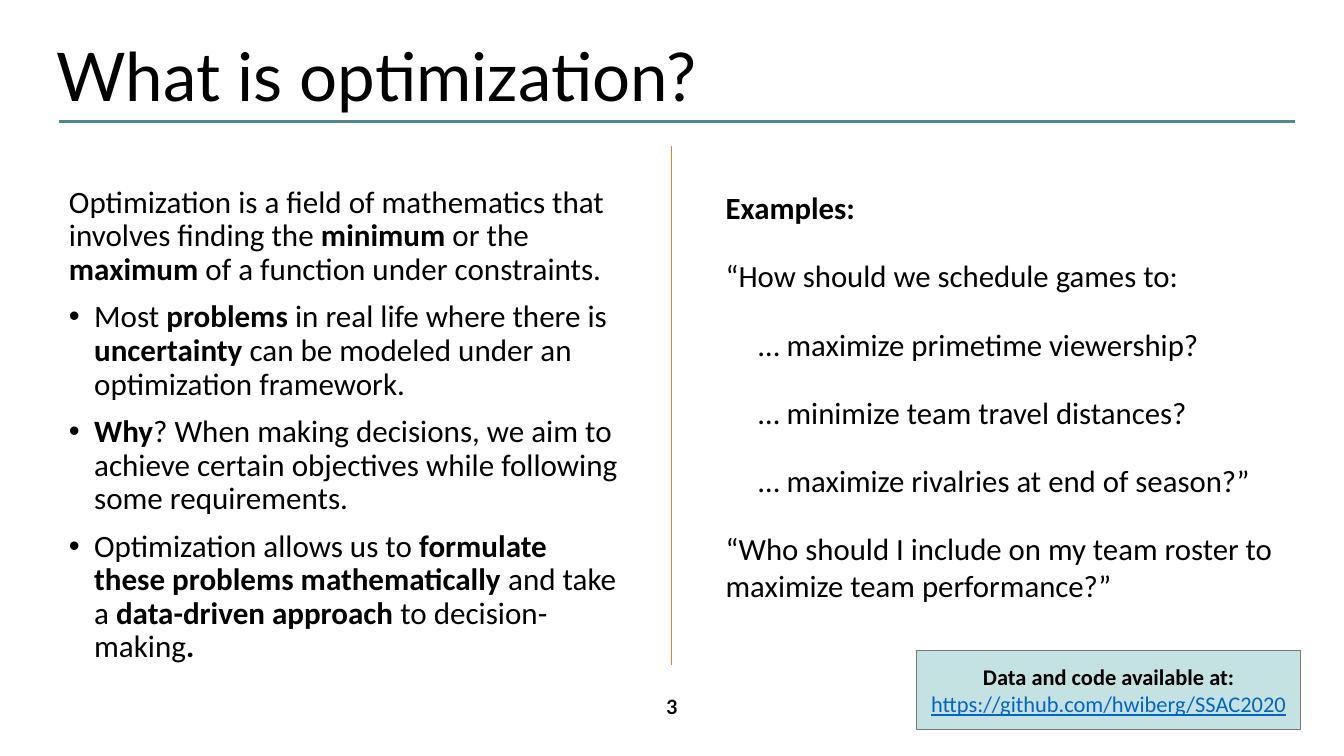
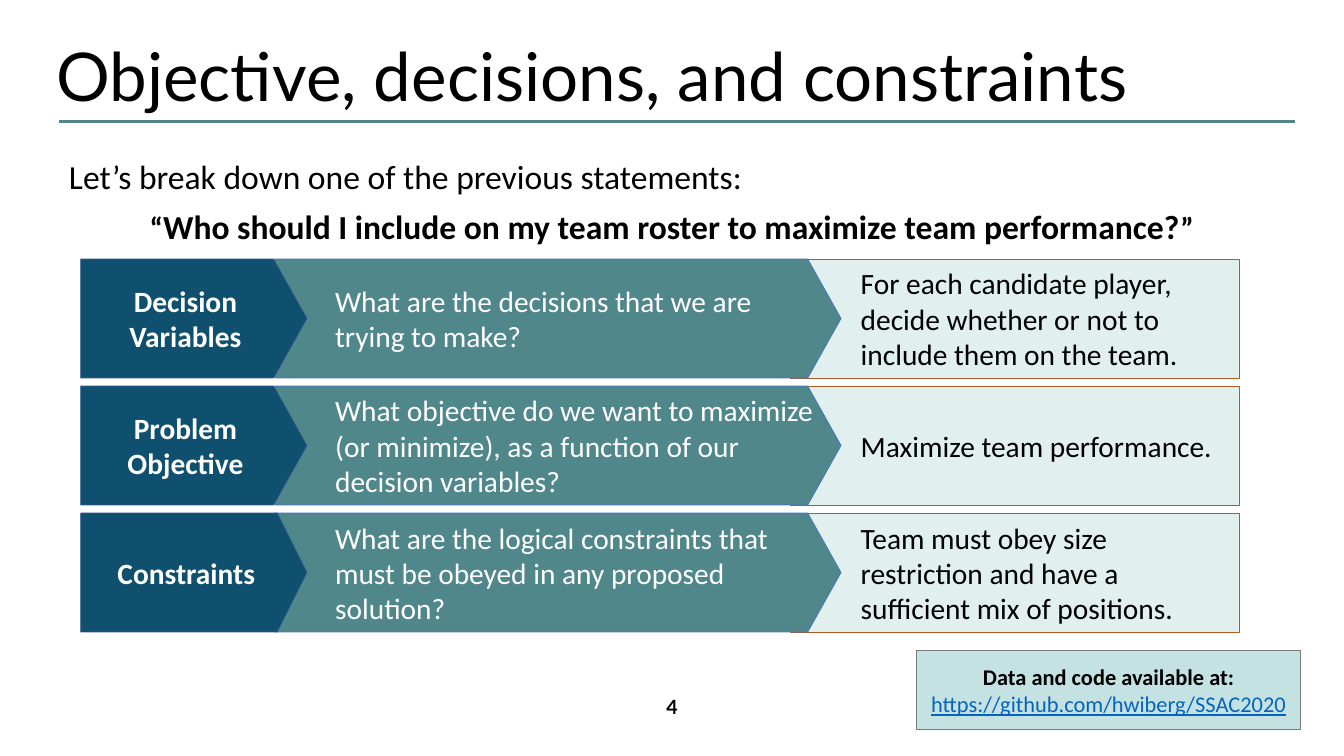
"""Build two slides that introduce optimization and its ingredients."""
from dataclasses import dataclass
from typing import NamedTuple, Optional

from lxml import etree
from pptx import Presentation
from pptx import util as u
from pptx.dml.color import RGBColor
from pptx.enum import shapes, text
from pptx.oxml import ns


@dataclass(frozen=True)
class Theme:
    """Colours, fonts and type sizes of the deck."""
    black: str = "000000"
    white: str = "FFFFFF"
    teal: str = "50878B"
    navy: str = "0F506E"
    mint: str = "C4E2E1"
    grey: str = "7A7A7A"
    orange: str = "ED7D31"
    rust: str = "AF5C24"
    blue: str = "4472C4"
    navy_line: str = "325491"
    link: str = "0563C1"
    heading_font: str = "Lato"
    body_font: str = "Calibri"
    title_size: float = 96
    intro_size: float = 48
    definition_size: float = 44.4
    example_size: float = 44
    row_size: float = 42
    note_size: float = 32
    number_size: float = 28


THEME = Theme()


class Box(NamedTuple):
    """Position and size in inches."""
    left: float
    top: float
    width: float
    height: float


class Insets(NamedTuple):
    """Text margins in inches."""
    left: float = 0.1
    top: float = 0.05
    right: float = 0.1
    bottom: float = 0.05


class Span(NamedTuple):
    """A run of text and its formatting."""
    words: str
    bold: bool = False
    color: str = THEME.black
    size: Optional[float] = None
    underline: bool = False


@dataclass(frozen=True)
class Block:
    """A paragraph made of spans."""
    spans: tuple[Span, ...]
    centered: bool = False
    bullet: bool = False
    margin: float = 0
    level: int = 0


@dataclass(frozen=True)
class Spacing:
    """Paragraph spacing in points and line spacing as a factor."""
    before: float = 0
    after: float = 0
    line: float = 1


@dataclass(frozen=True)
class Style:
    """Fill, outline and text margins of a filled shape."""
    fill: str
    line: str
    insets: Insets = Insets()
    opacity: int = 100


class Ingredient(NamedTuple):
    """One row of the breakdown."""
    label: str
    question: str
    answer: str
    label_point: float


NUMBER_BOX = Box(12.93, 13.71, 0.81, 0.62)
TITLE_BOX = Box(0.22, 0.29, 25.47, 2.37)
NOTE_BOX = Box(18.19, 12.91, 7.62, 1.56)
NOTE = (
    Block((Span("Data and code available at:", True),), centered=True),
    Block((Span("https://github.com/hwiberg/SSAC2020", color=THEME.link, underline=True),),
          centered=True),
)
DEFINITION = (
    Block((Span("Optimization is a field of mathematics that involves finding the "),
           Span("minimum", True), Span(" or the "), Span("maximum", True),
           Span(" of a function under constraints."))),
    Block((Span("Most "), Span("problems", True), Span(" in real life where there is "),
           Span("uncertainty", True),
           Span(" can be modeled under an optimization framework.")), bullet=True),
    Block((Span("Why", True),
           Span("? When making decisions, we aim to achieve certain objectives "
                "while following some requirements.")), bullet=True),
    Block((Span("Optimization allows us to "),
           Span("formulate these problems mathematically ", True), Span("and take a "),
           Span("data-driven approach ", True), Span("to decision-making"),
           Span(".", True)), bullet=True),
)
EXAMPLES = (
    Block((Span("Examples:", True),)),
    Block((Span("“How should we schedule games to:"),)),
    *(Block((Span(goal),), margin=0.65, level=1) for goal in (
        "… maximize primetime viewership?",
        "… minimize team travel distances?",
        "… maximize rivalries at end of season?”")),
    Block((Span("“Who should I include on my team roster to maximize team performance?”"),)),
)
INTRO = (
    Block((Span("Let’s break down one of the previous statements:"),)),
    Block((Span("“", True, size=THEME.example_size),
           Span("Who should I include on my team roster to maximize team performance?", True),
           Span("”", True, size=THEME.example_size)), centered=True),
)
INGREDIENTS = (
    Ingredient("Decision Variables", "What are the decisions that we are trying to make?",
               "For each candidate player, decide whether or not to include them on the team.",
               0.28),
    Ingredient("Problem Objective",
               "What objective do we want to maximize (or minimize), "
               "as a function of our decision variables?",
               "Maximize team performance.", 0.28),
    Ingredient("Constraints",
               "What are the logical constraints that must be obeyed in any proposed solution?",
               "Team must obey size restriction and have a sufficient mix of positions.", 0.25),
)
ROW_TOP, ROW_HEIGHT, ROW_PITCH = 5.14, 2.36, 2.52
QUESTION_POINT = 0.28
NOTE_STYLE = Style(THEME.mint, THEME.grey)
ANSWER_STYLE = Style(THEME.mint, THEME.rust, Insets(left=1.4), 50)
QUESTION_STYLE = Style(THEME.teal, THEME.blue, Insets(left=1.2))
LABEL_STYLE = Style(THEME.navy, THEME.navy_line)


def rgb(color: str) -> RGBColor:
    """Turn a hex string into a colour."""
    return RGBColor.from_string(color)


def inches(box: tuple) -> list[u.Length]:
    """Convert a tuple of numbers to lengths."""
    return [u.Inches(value) for value in box]


def set_frame(frame, insets: Insets, middle: bool = False, wrap: bool = True) -> None:
    """Set margins, anchor and wrapping of a text frame."""
    frame.margin_left, frame.margin_top, frame.margin_right, frame.margin_bottom = inches(insets)
    frame.vertical_anchor = text.MSO_ANCHOR.MIDDLE if middle else text.MSO_ANCHOR.TOP
    frame.word_wrap = wrap
    frame.auto_size = text.MSO_AUTO_SIZE.NONE


def set_indent(paragraph, block: Block) -> None:
    """Set the margin, hanging indent and bullet of a paragraph."""
    properties = paragraph._p.get_or_add_pPr()
    hanging = 0.5 if block.bullet else 0
    properties.set("marL", str(u.Inches(block.margin + hanging)))
    properties.set("indent", str(u.Inches(-hanging)))
    if block.bullet:
        etree.SubElement(properties, ns.qn("a:buFont")).set("typeface", "Arial")
        etree.SubElement(properties, ns.qn("a:buChar")).set("char", "•")


def write(frame, blocks: tuple[Block, ...], size: float, font: str = THEME.body_font,
          spacing: Spacing = Spacing()) -> None:
    """Fill a text frame paragraph by paragraph and run by run."""
    for index, block in enumerate(blocks):
        paragraph = frame.add_paragraph() if index else frame.paragraphs[0]
        set_indent(paragraph, block)
        paragraph.level = block.level
        paragraph.alignment = text.PP_ALIGN.CENTER if block.centered else text.PP_ALIGN.LEFT
        paragraph.line_spacing = spacing.line
        paragraph.space_before = u.Pt(spacing.before if index else 0)
        paragraph.space_after = u.Pt(spacing.after)
        for span in block.spans:
            run = paragraph.add_run()
            run.text = span.words
            run.font.name = font
            run.font.size = u.Pt(span.size or size)
            run.font.bold = span.bold
            run.font.underline = span.underline
            run.font.color.rgb = rgb(span.color)


def add_text(slide, box: Box, blocks: tuple[Block, ...], size: float,
             spacing: Spacing = Spacing(), insets: Insets = Insets(),
             font: str = THEME.body_font, wrap: bool = True) -> None:
    """Add a text box."""
    frame = slide.shapes.add_textbox(*inches(box)).text_frame
    set_frame(frame, insets, wrap=wrap)
    write(frame, blocks, size, font, spacing)


def add_panel(slide, box: Box, style: Style, blocks: tuple[Block, ...], size: float,
              point: Optional[float] = None) -> None:
    """Add a filled rectangle, or a pentagon arrow when a point is given."""
    kind = shapes.MSO_SHAPE.PENTAGON if point else shapes.MSO_SHAPE.RECTANGLE
    shape = slide.shapes.add_shape(kind, *inches(box))
    if point:
        shape.adjustments[0] = point
    shape.shadow.inherit = False
    shape.fill.solid()
    shape.fill.fore_color.rgb = rgb(style.fill)
    if style.opacity < 100:
        color = shape._element.spPr.find(ns.qn("a:solidFill"))[0]
        etree.SubElement(color, ns.qn("a:alpha")).set("val", str(style.opacity * 1000))
    shape.line.color.rgb = rgb(style.line)
    shape.line.width = u.Pt(1)
    set_frame(shape.text_frame, style.insets, middle=True)
    write(shape.text_frame, blocks, size)


def add_rule(slide, ends: tuple[float, float, float, float], color: str, width: float) -> None:
    """Add a straight line."""
    connector = slide.shapes.add_connector(shapes.MSO_CONNECTOR.STRAIGHT, *inches(ends))
    connector.line.color.rgb = rgb(color)
    connector.line.width = u.Pt(width)
    etree.SubElement(connector._element.spPr, ns.qn("a:effectLst"))


def add_slide(presentation, heading: str, number: int):
    """Add a slide with its title, rule, number and data note."""
    slide = presentation.slides.add_slide(presentation.slide_layouts[5])
    title = slide.shapes.title
    title.left, title.top, title.width, title.height = inches(TITLE_BOX)
    set_frame(title.text_frame, Insets(left=0.9), middle=True)
    write(title.text_frame, (Block((Span(heading),)),), THEME.title_size, THEME.heading_font)
    add_rule(slide, (1.17, 2.41, 25.69, 2.41), THEME.teal, 4.5)
    add_text(slide, NUMBER_BOX, (Block((Span(str(number), True),), centered=True),),
             THEME.number_size, insets=Insets(0.15, 0.08, 0.15, 0.08),
             font=THEME.heading_font, wrap=False)
    add_panel(slide, NOTE_BOX, NOTE_STYLE, NOTE, THEME.note_size)
    return slide


def add_ingredient(slide, top: float, row: Ingredient) -> None:
    """Add the answer, question and label of one row, back to front."""
    add_panel(slide, Box(15.68, top, 8.91, ROW_HEIGHT), ANSWER_STYLE,
              (Block((Span(row.answer),)),), THEME.row_size)
    add_panel(slide, Box(5.45, top, 11.24, ROW_HEIGHT), QUESTION_STYLE,
              (Block((Span(row.question, color=THEME.white),)),), THEME.row_size, QUESTION_POINT)
    add_panel(slide, Box(1.6, top, 4.49, ROW_HEIGHT), LABEL_STYLE,
              (Block((Span(row.label, True, THEME.white),), centered=True),),
              THEME.row_size, row.label_point)


def main() -> None:
    """Build and save the presentation."""
    presentation = Presentation()
    presentation.slide_width, presentation.slide_height = inches((26.67, 15))
    tight = Spacing(before=20, line=0.9)

    slide = add_slide(presentation, "What is optimization?", 3)
    add_text(slide, Box(1.27, 3.65, 11.19, 9.56), DEFINITION, THEME.definition_size, tight)
    add_text(slide, Box(14.2, 3.65, 11.61, 8.81), EXAMPLES, THEME.example_size,
             Spacing(before=20.6, after=24), Insets(0.2, 0.1, 0.2, 0.1))
    add_rule(slide, (13.33, 2.9, 13.33, 13.2), THEME.orange, 1)

    slide = add_slide(presentation, "Objective, decisions, and constraints", 4)
    add_text(slide, Box(1.27, 3.13, 24.12, 8.05), INTRO, THEME.intro_size, tight)
    for index, row in enumerate(INGREDIENTS):
        add_ingredient(slide, ROW_TOP + index * ROW_PITCH, row)

    presentation.save("out.pptx")


if __name__ == "__main__":
    main()
